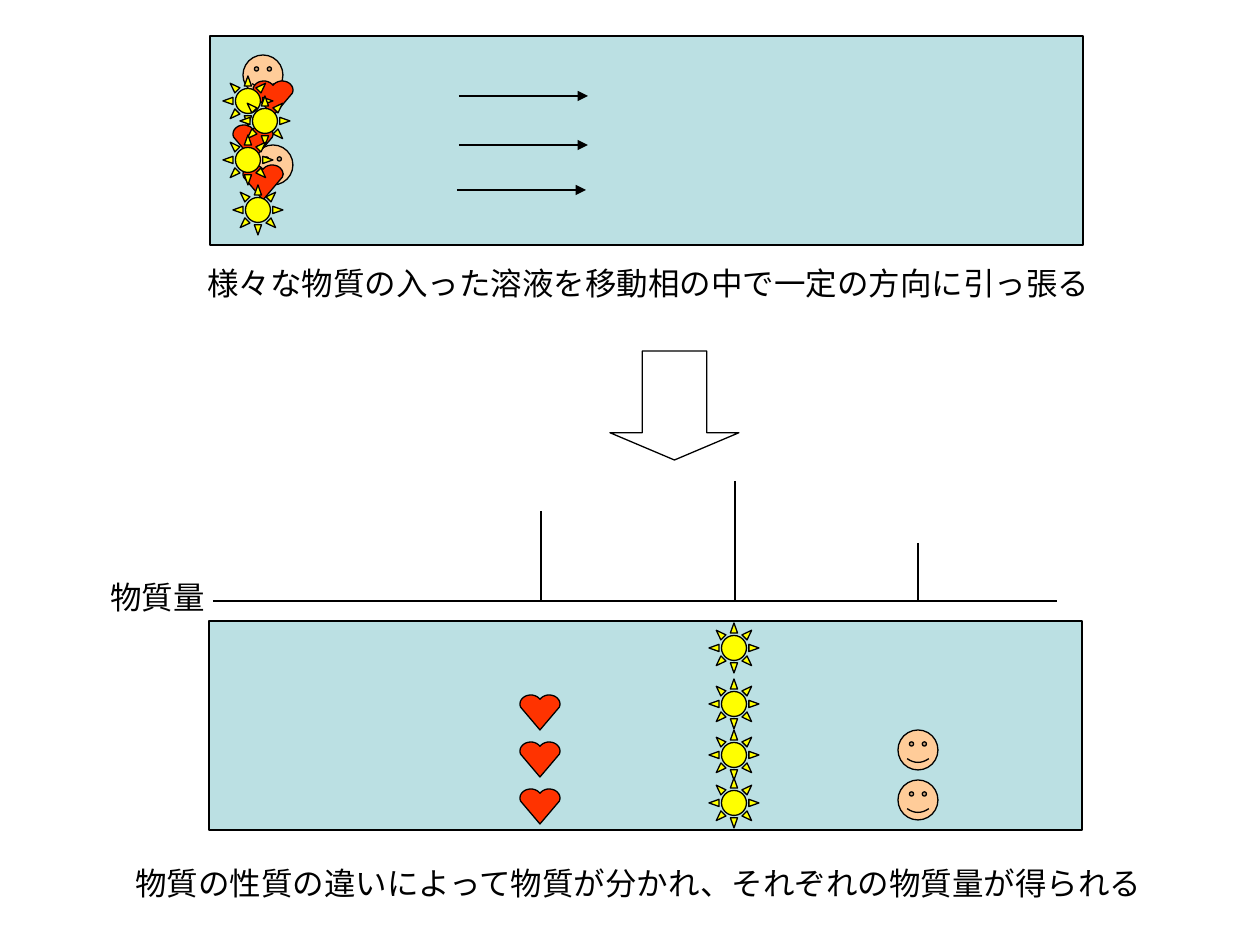
"""Builds the slide on separating the substances of a solution and measuring each amount."""
from math import cos, radians, sin
from typing import NamedTuple, Optional

from lxml import etree
from pptx import Presentation
from pptx import util as u
from pptx.dml.color import RGBColor
from pptx.enum import shapes, text
from pptx.oxml.ns import qn

PX_PER_INCH = 126
BLACK = RGBColor(0x00, 0x00, 0x00)
PHASE_BLUE = RGBColor(0xBB, 0xE0, 0xE3)
SKIN = RGBColor(0xFF, 0xCC, 0x99)
RED = RGBColor(0xFF, 0x33, 0x00)
YELLOW = RGBColor(0xFF, 0xFF, 0x00)
PRESET = shapes.MSO_SHAPE
BASELINE = 601


class Box(NamedTuple):
    left: int
    top: int
    width: int
    height: int


class Caption(NamedTuple):
    wording: str
    box: Box


class Peak(NamedTuple):
    x: int
    amount: int
    step: int


class Stage(NamedTuple):
    smileys: list[tuple[int, int]]
    hearts: list[tuple[int, int]]
    suns: list[tuple[int, int]]


MIXED = Stage(
    smileys=[(243, 55), (253, 145)],
    hearts=[(253, 81), (233, 125), (243, 165)],
    suns=[(233, 185), (223, 76), (240, 96), (223, 135)],
)
SEPARATED = Stage(
    smileys=[(898, y) for y in (730, 780)],
    hearts=[(520, y) for y in (742, 695, 789)],
    suns=[(709, y) for y in (623, 679, 778, 730)],
)
PHASES = [Box(209, 621, 873, 209), Box(210, 36, 873, 209)]
PULLS = [(459, 96), (459, 145), (457, 190)]
PEAKS = [Peak(541, 3, 30), Peak(918, 2, 29), Peak(735, 4, 30)]
CAPTIONS = [
    Caption("様々な物質の入った溶液を移動相の中で一定の方向に引っ張る", Box(195, 258, 907, 50)),
    Caption("物質の性質の違いによって物質が分かれ、それぞれの物質量が得られる", Box(123, 858, 1033, 50)),
    Caption("物質量", Box(98, 572, 120, 50)),
]


def px(length: float) -> int:
    return round(length * u.Inches(1) / PX_PER_INCH)


def style(shape, fill: Optional[RGBColor]) -> None:
    shape.shadow.inherit = False
    if fill is None:
        shape.fill.background()
    else:
        shape.fill.solid()
        shape.fill.fore_color.rgb = fill
    shape.line.color.rgb = BLACK
    shape.line.width = u.Pt(0.75)


def draw_preset(slide, preset: PRESET, box: Box, fill: Optional[RGBColor]) -> None:
    style(slide.shapes.add_shape(preset, *map(px, box)), fill)


def draw_heart(slide, left: int, top: int, width: int = 40, height: int = 35) -> None:
    lobe = [(0.27 - 0.27 * cos(radians(a)), 0.26 - 0.26 * sin(radians(a)))
            for a in range(-20, 149, 12)]
    outline = [(0.5, 1.0), *lobe, *[(1 - x, y) for x, y in reversed(lobe)]]
    points = [(px(left + x * width), px(top + y * height)) for x, y in outline]
    builder = slide.shapes.build_freeform(*points[0])
    builder.add_line_segments(points[1:], close=True)
    style(builder.convert_to_shape(), RED)


def draw_line(slide, x1: int, y1: int, x2: int, y2: int, arrow: bool = False) -> None:
    line = slide.shapes.add_connector(shapes.MSO_CONNECTOR.STRAIGHT, *map(px, (x1, y1, x2, y2)))
    line.line.color.rgb = BLACK
    line.line.width = u.Pt(0.75)
    if arrow:
        etree.SubElement(line.line._get_or_add_ln(), qn("a:tailEnd"), type="triangle")
    etree.SubElement(line._element.spPr, qn("a:effectLst"))


def draw_stage(slide, stage: Stage) -> None:
    for left, top in stage.smileys:
        draw_preset(slide, PRESET.SMILEY_FACE, Box(left, top, 40, 40), SKIN)
    for left, top in stage.hearts:
        draw_heart(slide, left, top)
    for left, top in stage.suns:
        draw_preset(slide, PRESET.SUN, Box(left, top, 50, 50), YELLOW)


def draw_peak(slide, peak: Peak) -> None:
    for unit in range(peak.amount):
        bottom = BASELINE - unit * peak.step
        draw_line(slide, peak.x, bottom - peak.step, peak.x, bottom)


def draw_caption(slide, caption: Caption) -> None:
    frame = slide.shapes.add_textbox(*map(px, caption.box)).text_frame
    frame.word_wrap = False
    frame.auto_size = text.MSO_AUTO_SIZE.SHAPE_TO_FIT_TEXT
    frame.text = caption.wording
    font = frame.paragraphs[0].runs[0].font
    font.name = "Arial"
    font.size = u.Pt(18)
    font.color.rgb = BLACK


def main() -> None:
    deck = Presentation()
    deck.slide_width, deck.slide_height = u.Inches(10), u.Inches(7.5)
    slide = deck.slides.add_slide(deck.slide_layouts[6])
    for phase in PHASES:
        draw_preset(slide, PRESET.RECTANGLE, phase, PHASE_BLUE)
    draw_stage(slide, MIXED)
    for x, y in PULLS:
        draw_line(slide, x, y, x + 129, y, arrow=True)
    draw_stage(slide, SEPARATED)
    draw_line(slide, 213, BASELINE, 1057, BASELINE)
    for peak in PEAKS:
        draw_peak(slide, peak)
    for caption in CAPTIONS:
        draw_caption(slide, caption)
    draw_preset(slide, PRESET.DOWN_ARROW, Box(610, 351, 129, 109), None)
    slide.shapes[-1].adjustments[1] = 0.25 * 109 / 109
    deck.save("out.pptx")


if __name__ == "__main__":
    main()
